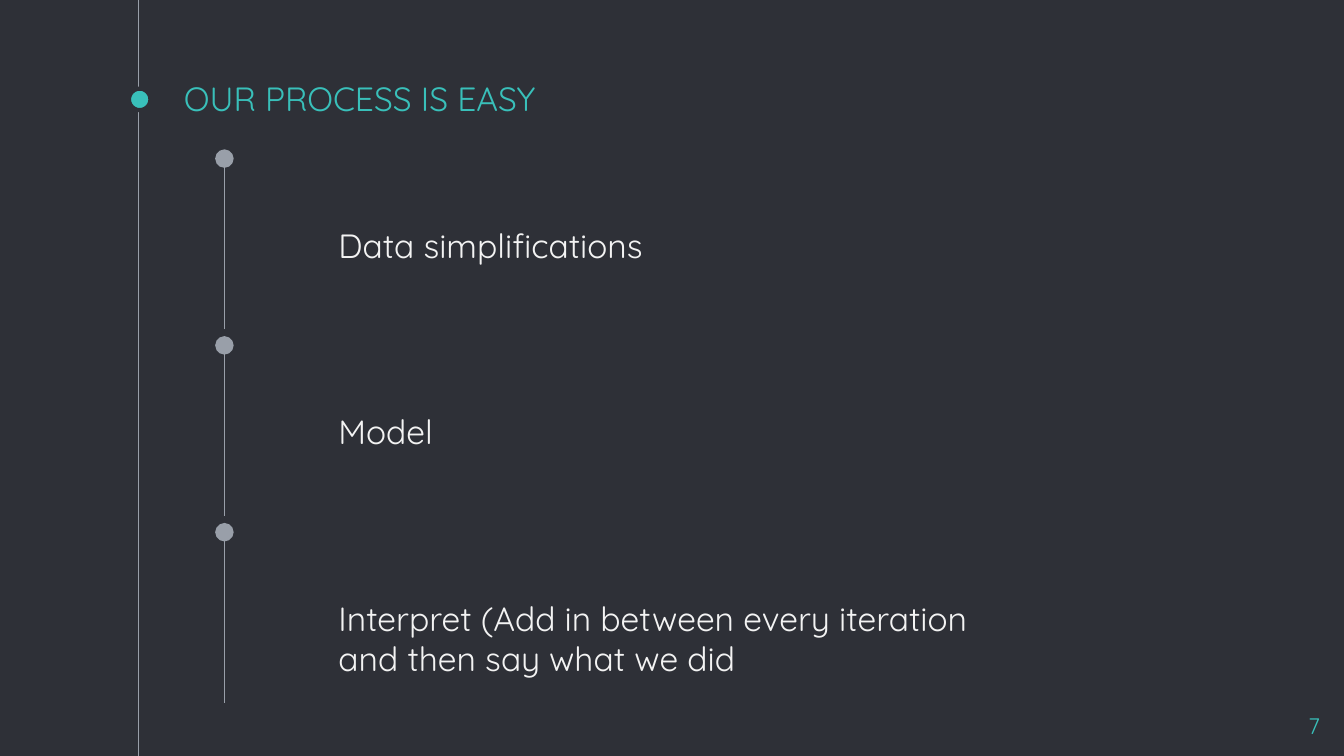
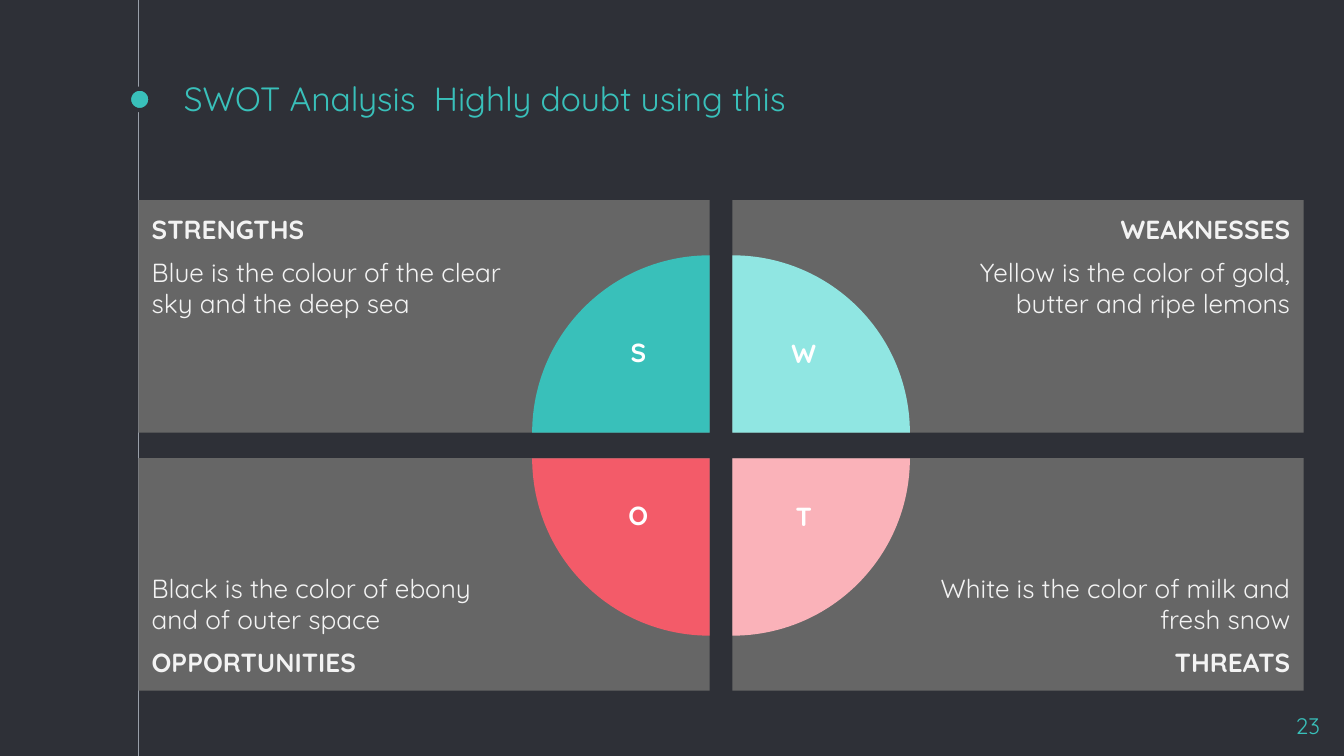
import pptx
import pptx.dml.color
import pptx.enum.shapes
import pptx.enum.text
import pptx.oxml.ns
import pptx.util
from lxml import etree

Inches, Pt = pptx.util.Inches, pptx.util.Pt
SHAPE = pptx.enum.shapes.MSO_SHAPE
ALIGN = pptx.enum.text.PP_ALIGN
ANCHOR = pptx.enum.text.MSO_ANCHOR
qn = pptx.oxml.ns.qn

FONT = "Quicksand"
BACK, GREY, TEAL, PALE = "2E3037", "999FA9", "39C0BA", "F3F3F3"
CARD, WHITE, AQUA, RED, PINK = "666666", "FFFFFF", "90E6E2", "F35B69", "FAB2B9"


def rgb(color):
    return pptx.dml.color.RGBColor.from_string(color)


def format_runs(p, size, color, bold=False, align=ALIGN.LEFT):
    p.alignment = align
    for r in p.runs:
        r.font.name = FONT
        r.font.size = Pt(size)
        r.font.bold = bold
        r.font.color.rgb = rgb(color)


def set_frame(tf, anchor, left=0.1, top=0.1, right=0.1, bottom=0.1):
    tf.word_wrap = True
    tf.vertical_anchor = anchor
    tf.margin_left, tf.margin_top = Inches(left), Inches(top)
    tf.margin_right, tf.margin_bottom = Inches(right), Inches(bottom)


def add_text(slide, box, text, size, color, bold=False, align=ALIGN.LEFT,
             anchor=ANCHOR.TOP, pad=0.1):
    tf = slide.shapes.add_textbox(*map(Inches, box)).text_frame
    set_frame(tf, anchor, top=pad, bottom=pad)
    tf.text = text
    format_runs(tf.paragraphs[0], size, color, bold, align)


def add_shape(slide, kind, box, fill, line=None):
    sp = slide.shapes.add_shape(kind, *map(Inches, box))
    sp.shadow.inherit = False
    sp.fill.solid()
    sp.fill.fore_color.rgb = rgb(fill)
    if line:
        sp.line.color.rgb = rgb(line)
        sp.line.width = Pt(2.25)
    else:
        sp.line.fill.background()
    return sp


def add_line(slide, x, start, end, dot=False):
    """Draw a vertical grey line, with a dot at its end if asked for."""
    line = slide.shapes.add_connector(
        pptx.enum.shapes.MSO_CONNECTOR.STRAIGHT,
        Inches(x), Inches(start), Inches(x), Inches(end))
    line.line.color.rgb = rgb(GREY)
    line.line.width = Pt(0.75)
    sp_pr = line._element.spPr
    if dot:
        etree.SubElement(sp_pr.find(qn("a:ln")), qn("a:tailEnd"),
                         type="oval", w="lg", len="lg")
    etree.SubElement(sp_pr, qn("a:effectLst"))


def add_slide(prs, title, number):
    slide = prs.slides.add_slide(prs.slide_layouts[6])
    slide.background.fill.solid()
    slide.background.fill.fore_color.rgb = rgb(BACK)
    add_line(slide, 1.03, 0, prs.slide_height.inches)
    add_shape(slide, SHAPE.OVAL, (0.96, 0.66, 0.16, 0.16), TEAL, BACK)
    add_text(slide, (1.27, 0.6, 7.5, 0.38), title, 18, TEAL, anchor=ANCHOR.BOTTOM)
    add_text(slide, (9.32, 5.2, 0.6, 0.34), number, 12, TEAL, align=ALIGN.RIGHT)
    return slide


def add_step(slide, left, top, text, width):
    add_line(slide, left, top + 1.27, top, dot=True)
    add_text(slide, (left + 0.75, top + 0.39, width, 0.31), text, 18, PALE)


def build_process(prs):
    slide = add_slide(prs, "OUR PROCESS IS EASY", "7")
    steps = [("Data simplifications", 2.53), ("Model", 2.53),
             ("Interpret (Add in between every iteration and then say what we did", 4.99)]
    for i, (text, width) in enumerate(steps):
        add_step(slide, 1.67, 1.18 + 1.39 * i, text, width)


def add_swot_card(slide, box, col, row, heading, body):
    sp = add_shape(slide, SHAPE.RECTANGLE, box, CARD)
    tf = sp.text_frame
    left, right = ((0.1, 1.5), (1.5, 0.1))[col]
    set_frame(tf, (ANCHOR.TOP, ANCHOR.BOTTOM)[row], left=left, right=right)
    lines = [(heading, True), (body, False)]
    if row:
        lines.reverse()
    tf.text = "\n".join(text for text, _ in lines)
    for p, (_, bold) in zip(tf.paragraphs, lines):
        format_runs(p, 14, PALE, bold, (ALIGN.LEFT, ALIGN.RIGHT)[col])
    p.space_before = p.space_after = Pt(6)


def add_quadrant(slide, x, y, col, row, letter, width, color):
    """Draw a quarter disc and its letter around the card's inner corner."""
    size = 2.64
    pie = add_shape(slide, SHAPE.PIE, (x - size / 2, y - size / 2, size, size), color)
    pie.adjustments[0], pie.adjustments[1] = 108, 162
    pie.rotation = ((0, 90), (270, 180))[row][col]
    dx = (-0.53, 0.53)[col]
    dy = (-0.52, 0.5)[row]
    height = (0.49, 0.47)[col]
    add_text(slide, (x + dx - width / 2, y + dy - height / 2, width, height),
             letter, 14, WHITE, bold=True, align=ALIGN.CENTER, pad=0.05)


def build_swot(prs):
    slide = add_slide(prs, "SWOT Analysis  Highly doubt using this", "23")
    cards = [
        ("STRENGTHS", "Blue is the colour of the clear sky and the deep sea", 0.35, TEAL),
        ("WEAKNESSES", "Yellow is the color of gold, butter and ripe lemons", 0.62, AQUA),
        ("OPPORTUNITIES", "Black is the color of ebony and of outer space", 0.46, RED),
        ("THREATS", "White is the color of milk and fresh snow", 0.38, PINK),
    ]
    width, height = 4.25, 1.73
    for i, (heading, body, letter_width, color) in enumerate(cards):
        row, col = divmod(i, 2)
        left, top = 1.03 + 4.42 * col, 1.49 + 1.92 * row
        add_swot_card(slide, (left, top, width, height), col, row, heading, body)
        add_quadrant(slide, left + width * (1 - col), top + height * (1 - row),
                     col, row, heading[0], letter_width, color)


def main():
    prs = pptx.Presentation()
    prs.slide_width = Inches(10)
    prs.slide_height = Inches(10) * 9 // 16
    build_process(prs)
    build_swot(prs)
    prs.save("out.pptx")


if __name__ == "__main__":
    main()
